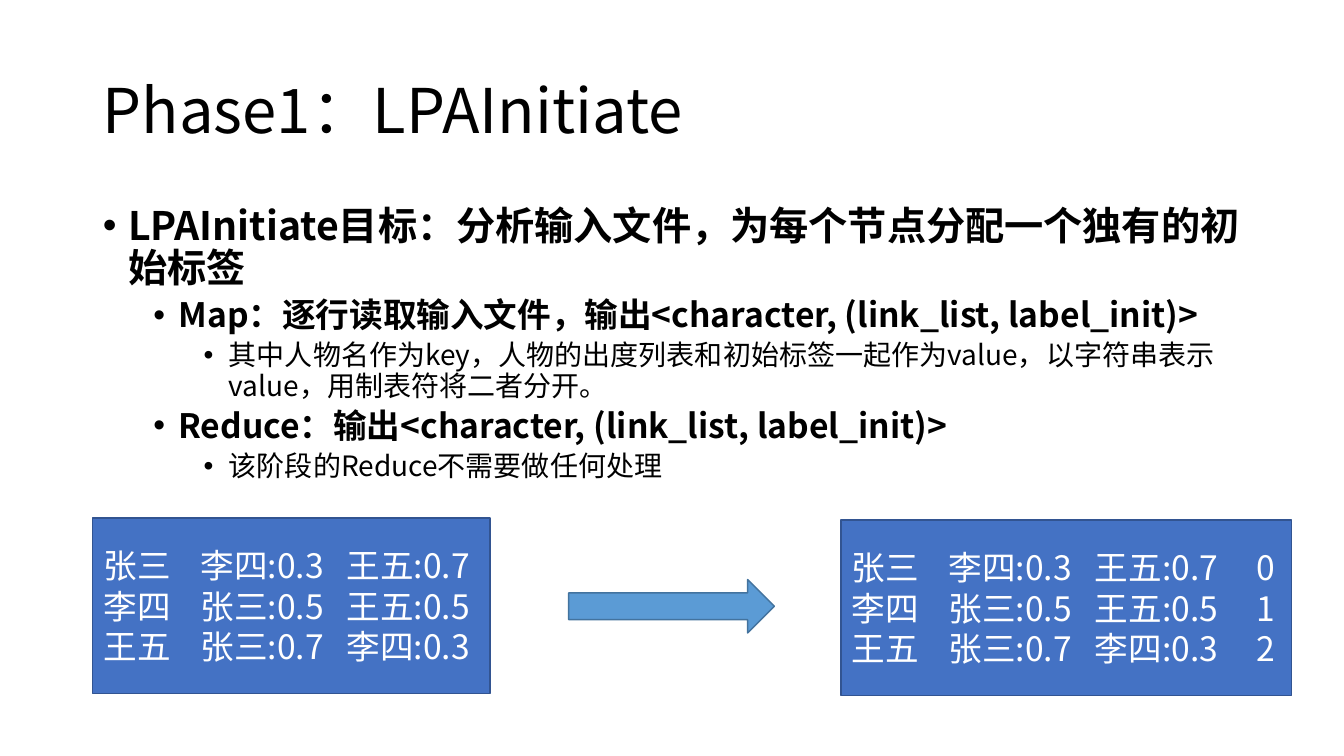
from dataclasses import dataclass

from lxml import etree
from pptx import Presentation
from pptx.dml.color import RGBColor
from pptx.enum.shapes import MSO_SHAPE
from pptx.enum.text import MSO_ANCHOR, MSO_AUTO_SIZE, PP_ALIGN
from pptx.oxml.ns import qn
from pptx.util import Inches, Pt

RECT, ARROW = MSO_SHAPE.RECTANGLE, MSO_SHAPE.RIGHT_ARROW
TOP, MIDDLE = MSO_ANCHOR.TOP, MSO_ANCHOR.MIDDLE
LEFT, NO_FIT = PP_ALIGN.LEFT, MSO_AUTO_SIZE.NONE
FONT = "Noto Sans CJK SC"
BLACK, WHITE = "000000", "FFFFFF"
MARGIN, CONTENT_W = 0.92, 11.5
BOX_H = 1.74
TAB_STOPS = (0.96, 2.41, 4.01)


@dataclass(frozen=True)
class Level:
    size: int
    bold: bool
    before: int


@dataclass(frozen=True)
class Box:
    left: float
    top: float
    width: float
    rows: list[tuple[str, ...]]


LEVELS = (Level(28, True, 10), Level(24, True, 5), Level(20, False, 5))
BULLETS = (
    (0, "LPAInitiate目标：分析输入文件，为每个节点分配一个独有的初始标签"),
    (1, "Map：逐行读取输入文件，输出<character, (link_list, label_init)>"),
    (2, "其中人物名作为key，人物的出度列表和初始标签一起作为value，"
        "以字符串表示value，用制表符将二者分开。"),
    (1, "Reduce：输出<character, (link_list, label_init)>"),
    (2, "该阶段的Reduce不需要做任何处理"),
)
GRAPH = [
    ("张三", "李四:0.3", "王五:0.7"),
    ("李四", "张三:0.5", "王五:0.5"),
    ("王五", "张三:0.7", "李四:0.3"),
]
LABELLED = [(*row, str(label)) for label, row in enumerate(GRAPH)]
BOXES = (Box(MARGIN, 5.14, 3.94, GRAPH), Box(8.34, 5.16, 4.47, LABELLED))


def rgb(value: str) -> RGBColor:
    return RGBColor.from_string(value)


def style(p, size: int, color: str, bold: bool = False) -> None:
    p.alignment = LEFT
    font = p.font
    font.size, font.bold, font.name = Pt(size), bold, FONT
    font.color.rgb = rgb(color)
    props = p._p.pPr.find(qn("a:defRPr"))
    etree.SubElement(props, qn("a:ea")).set("typeface", FONT)


def place(sp, left: float, top: float, width: float, height: float) -> None:
    sp.left, sp.top = Inches(left), Inches(top)
    sp.width, sp.height = Inches(width), Inches(height)


def paragraphs(tf, count: int) -> list:
    return [tf.paragraphs[0]] + [tf.add_paragraph() for _ in range(count - 1)]


def add_bullet(p, depth: int) -> None:
    """Indent a paragraph by its depth and give it a round bullet."""
    props = p._p.get_or_add_pPr()
    props.set("marL", str(Inches(0.25 + 0.5 * depth)))
    props.set("indent", str(-Inches(0.25)))
    font = etree.Element(qn("a:buFont"), typeface="Arial")
    char = etree.Element(qn("a:buChar"), char="•")
    for element in (font, char):
        props.find(qn("a:defRPr")).addprevious(element)


def add_tabs(p, count: int) -> None:
    tabs = etree.Element(qn("a:tabLst"))
    for stop in TAB_STOPS[:count]:
        etree.SubElement(tabs, qn("a:tab"), pos=str(Inches(stop)), algn="l")
    p._p.pPr.find(qn("a:defRPr")).addprevious(tabs)


def add_shape(slide, kind, left: float, top: float, width: float,
              height: float, fill: str, line: str):
    sp = slide.shapes.add_shape(kind, 0, 0, 0, 0)
    place(sp, left, top, width, height)
    sp.shadow.inherit = False
    sp.fill.solid()
    sp.fill.fore_color.rgb = rgb(fill)
    sp.line.color.rgb = rgb(line)
    sp.line.width = Pt(1)
    return sp


def add_box(slide, box: Box) -> None:
    sp = add_shape(slide, RECT, box.left, box.top, box.width, BOX_H,
                   "4472C4", "325491")
    tf = sp.text_frame
    tf.word_wrap, tf.vertical_anchor = True, MIDDLE
    tf.margin_left = tf.margin_right = Inches(0.11)
    for p, row in zip(paragraphs(tf, len(box.rows)), box.rows):
        p.text = "\t".join(row)
        style(p, 24, WHITE)
        add_tabs(p, len(row) - 1)


prs = Presentation()
prs.slide_width, prs.slide_height = Inches(13.33), Inches(7.5)
slide = prs.slides.add_slide(prs.slide_layouts.get_by_name("Title and Content"))

# Title
title = slide.shapes.title
place(title, MARGIN, 0.4, CONTENT_W, 1.45)
title.text_frame.vertical_anchor = MIDDLE
title.text_frame.auto_size = NO_FIT
p = title.text_frame.paragraphs[0]
p.text = "Phase1：LPAInitiate"
p.line_spacing = 0.9
style(p, 44, BLACK)

# Goal, map and reduce steps
body = slide.placeholders[1]
place(body, MARGIN, 2, CONTENT_W, 4.76)
tf = body.text_frame
tf.vertical_anchor, tf.auto_size = TOP, NO_FIT
for p, (depth, text) in zip(paragraphs(tf, len(BULLETS)), BULLETS):
    level = LEVELS[depth]
    p.text, p.level = text, depth
    p.line_spacing, p.space_before = 0.9, Pt(level.before)
    style(p, level.size, BLACK, level.bold)
    add_bullet(p, depth)

# Input and labelled output, joined by an arrow
for box in BOXES:
    add_box(slide, box)
add_shape(slide, ARROW, 5.64, 5.75, 2.04, 0.53, "5B9BD5", "43739E")

prs.save("out.pptx")
